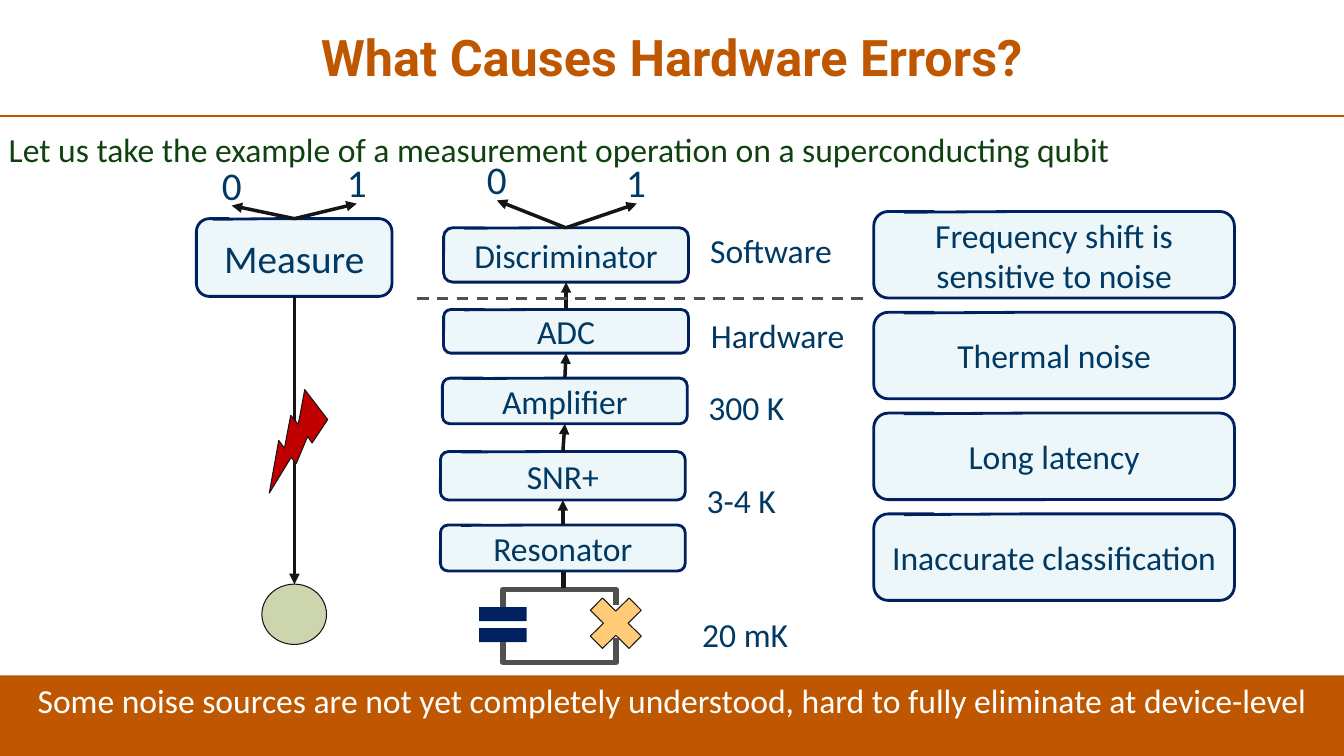
from pptx import Presentation
from pptx.dml.color import RGBColor
from pptx.enum.dml import MSO_LINE_DASH_STYLE as Dash
from pptx.enum.shapes import MSO_CONNECTOR as Connector, MSO_SHAPE as Shape
from pptx.enum.text import MSO_ANCHOR as Anchor, PP_ALIGN as Align
from pptx.oxml.ns import qn
from pptx.util import Cm, Pt
from lxml.etree import SubElement

ORANGE = RGBColor(0xBF, 0x57, 0x00)
WHITE = RGBColor(0xFF, 0xFF, 0xFF)
GREEN = RGBColor(0x10, 0x42, 0x10)
BLUE = RGBColor(0x00, 0x39, 0x63)
NAVY = RGBColor(0x00, 0x20, 0x60)
PALE = RGBColor(0xED, 0xF6, 0xF9)
BLACK = RGBColor(0x15, 0x15, 0x15)
GRAY = RGBColor(0x50, 0x50, 0x50)
SAGE = RGBColor(0xCC, 0xD5, 0xAE)
AMBER = RGBColor(0xFF, 0xCB, 0x77)
RED = RGBColor(0xC0, 0x00, 0x00)

# Content; all lengths in centimetres
TITLE = "What Causes Hardware Errors?"
LEAD = "Let us take the example of a measurement operation on a superconducting qubit"
FOOTER = ("Some noise sources are not yet completely understood, "
          "hard to fully eliminate at device-level")
STAGES = [  # text, left, top, height
    ("Discriminator", 11.18, 5.74, 1.37),
    ("ADC", 11.18, 7.8, 1.1),
    ("Amplifier", 11.15, 9.53, 1.15),
    ("SNR+", 11.1, 11.38, 1.22),
    ("Resonator", 11.1, 13.23, 1.16),
]
STAGE_WIDTH = 6.17
LABELS = [  # text, centre x, centre y
    ("Software", 19.43, 6.29),
    ("Hardware", 19.6, 8.45),
    ("300 K", 18.81, 10.27),
    ("3-4 K", 18.68, 12.61),
    ("20 mK", 18.78, 15.99),
]
NOISE_SOURCES = ["Frequency shift is sensitive to noise", "Thermal noise",
                 "Long latency", "Inaccurate classification"]
OUTCOMES = [  # text, box centre x, box centre y, arrow start, arrow end
    ("0", 5.84, 4.66, (7.42, 5.51), (5.84, 5.18)),
    ("1", 8.99, 4.58, (7.42, 5.51), (8.99, 5.13)),
    ("0", 12.52, 4.5, (14.26, 5.74), (12.52, 5.05)),
    ("1", 16.03, 4.58, (14.26, 5.74), (16.05, 5.13)),
]
WIRES = [
    [(12.67, 15.29), (12.67, 14.86), (15.53, 14.86), (15.53, 15.24)],
    [(15.53, 16.08), (15.53, 16.69), (12.67, 16.69), (12.67, 16.18)],
]

deck = Presentation()
deck.slide_width, deck.slide_height = Cm(33.87), Cm(19.05)
page = deck.slides.add_slide(deck.slide_layouts[5])


def write(shape, text, size, color, font="Calibri", align=Align.CENTER,
          anchor=Anchor.MIDDLE):
    frame = shape.text_frame
    frame.text = text
    frame.word_wrap = True
    frame.vertical_anchor = anchor
    para = frame.paragraphs[0]
    para.alignment = align
    span = para.runs[0].font
    span.name, span.size, span.color.rgb = font, Pt(size), color
    return para


def paint(shape, fill=None, line=None, width=0.75):
    shape.shadow.inherit = False
    for part, color in ((shape.fill, fill), (shape.line.fill, line)):
        if color is None:
            part.background()
        else:
            part.solid()
            part.fore_color.rgb = color
    if line is not None:
        shape.line.width = Pt(width)
    return shape


def add_shape(kind, left, top, width, height, fill=None, line=None, weight=0.75):
    shape = page.shapes.add_shape(kind, Cm(left), Cm(top), Cm(width), Cm(height))
    return paint(shape, fill, line, weight)


def add_box(text, left, top, width, height, size=24):
    box = add_shape(Shape.ROUNDED_RECTANGULAR_CALLOUT, left, top, width, height,
                    PALE, NAVY, 2)
    for index, value in enumerate((-0.415, -0.491, 0.167)):
        box.adjustments[index] = value
    write(box, text, size, BLUE)


def add_label(text, center_x, center_y, size=24, width=5, height=1.1):
    label = page.shapes.add_textbox(Cm(center_x - width / 2), Cm(center_y - height / 2),
                                    Cm(width), Cm(height))
    write(label, text, size, BLUE)


def add_line(start, end, color=BLACK, width=2.5, arrow=False, dash=None):
    line = page.shapes.add_connector(Connector.STRAIGHT, *map(Cm, start + end))
    line.line.color.rgb = color
    line.line.width = Pt(width)
    if dash is not None:
        line.line.dash_style = dash
    properties = line.element.spPr
    if arrow:
        SubElement(properties.find(qn("a:ln")), qn("a:tailEnd"), type="triangle")
    SubElement(properties, qn("a:effectLst"))


# Title, rule, lead sentence and footer
title = page.shapes.title
title.left, title.top, title.width, title.height = Cm(0.23), Cm(0.1), Cm(33.4), Cm(2.82)
heading = write(title, TITLE, 36, ORANGE, "Roboto")
heading.line_spacing = 0.9
heading.runs[0].font.bold = True
add_line((0, 2.92), (33.87, 2.92), ORANGE, 1.5)
footer = add_shape(Shape.RECTANGLE, 0, 17.02, 33.87, 2.03, ORANGE)
write(footer, FOOTER, 24, WHITE, anchor=Anchor.TOP)
lead = page.shapes.add_textbox(Cm(-0.03), Cm(3.12), Cm(31.93), Cm(1.27))
write(lead, LEAD, 24, GREEN, align=Align.LEFT, anchor=Anchor.TOP)

# Measurement of a qubit
add_shape(Shape.OVAL, 6.6, 14.72, 1.63, 1.52, SAGE, BLACK)
add_box("Measure", 4.95, 5.51, 4.93, 1.96, 28)
add_line((7.42, 7.47), (7.42, 14.72), arrow=True)
bolt = add_shape(Shape.LIGHTNING_BOLT, 6.27, 10.11, 2.26, 1.93, RED, BLACK)
bolt.rotation = 73.9

# Qubit circuit
add_shape(Shape.MATH_EQUAL, 11.86, 14.99, 1.63, 1.5, NAVY)
add_shape(Shape.MATH_MULTIPLY, 14.58, 14.78, 1.88, 1.85, AMBER, BLACK)
for points in WIRES:
    corners = [(Cm(x), Cm(y)) for x, y in points]
    builder = page.shapes.build_freeform(*corners[0])
    builder.add_line_segments(corners[1:], close=False)
    paint(builder.convert_to_shape(), line=GRAY, width=4)
add_line((14.2, 14.81), (14.2, 14.4), width=4)

# Readout chain, each stage feeding the one above
for text, left, top, height in STAGES:
    add_box(text, left, top, STAGE_WIDTH, height)
for upper, lower in zip(STAGES, STAGES[1:]):
    add_line((lower[1] + STAGE_WIDTH / 2, lower[2]),
             (upper[1] + STAGE_WIDTH / 2, upper[2] + upper[3]), arrow=True)
add_line((10.52, 7.52), (21.74, 7.52), GRAY, 2, dash=Dash.DASH)
for text, center_x, center_y in LABELS:
    add_label(text, center_x, center_y)

# Measured outcomes
for text, center_x, center_y, start, end in OUTCOMES:
    add_label(text, center_x, center_y, 28, width=2.08)
    add_line(start, end, arrow=True)

# Noise sources
for row, text in enumerate(NOISE_SOURCES):
    add_box(text, 22.02, 5.33 + 2.54 * row, 9.09, 2.18)

deck.save("out.pptx")
